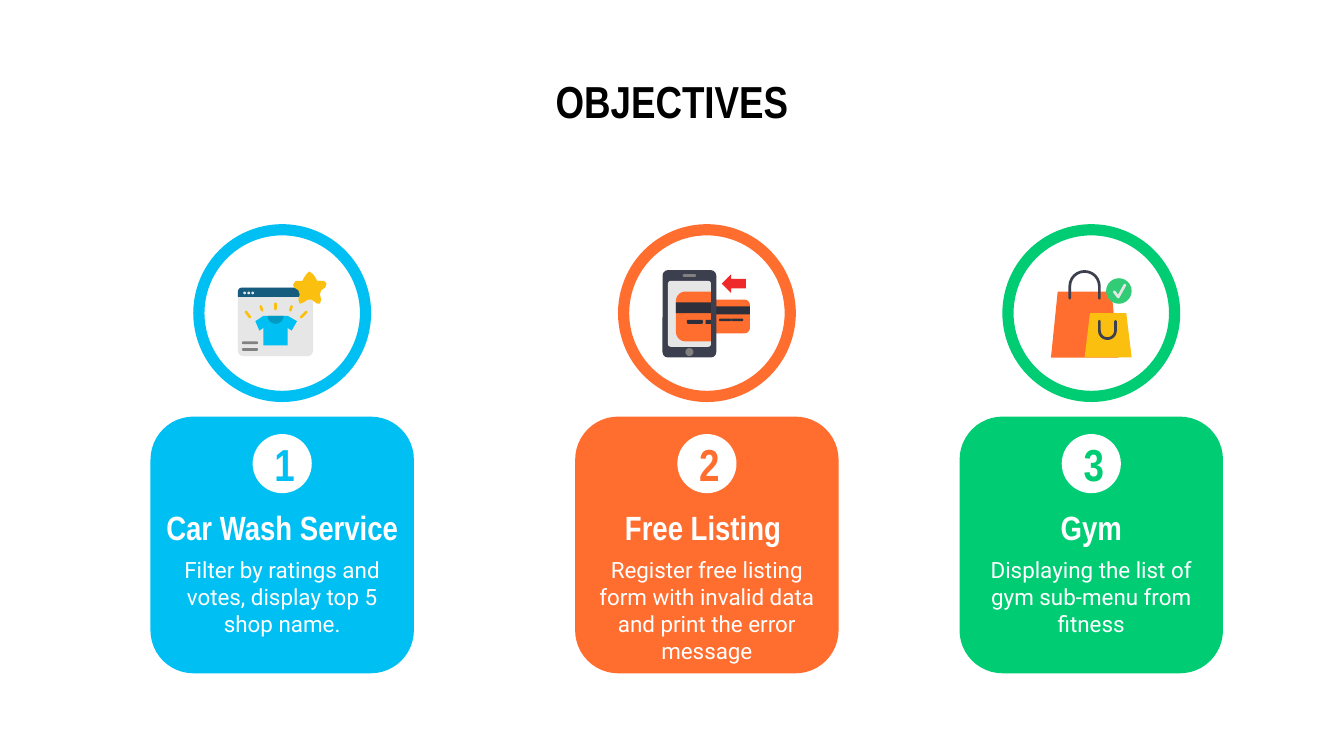
import math
from dataclasses import dataclass

from lxml import etree
from pptx import Presentation
from pptx.dml.color import RGBColor
from pptx.enum.shapes import MSO_SHAPE
from pptx.enum.text import MSO_ANCHOR, PP_ALIGN
from pptx.oxml.ns import qn
from pptx.util import Emu, Pt

ROUND = MSO_SHAPE.ROUNDED_RECTANGLE
TAB = MSO_SHAPE.ROUND_2_SAME_RECTANGLE
RECT = MSO_SHAPE.RECTANGLE
OVAL = MSO_SHAPE.OVAL
LEFT_ARROW = MSO_SHAPE.LEFT_ARROW
TOP = MSO_ANCHOR.TOP
MIDDLE = MSO_ANCHOR.MIDDLE
CENTER = PP_ALIGN.CENTER

PX_PER_INCH = 100
EMU_PER_PX = 914400 // PX_PER_INCH
HEADING_FONT, BODY_FONT = "Arial Narrow", "Roboto"
WHITE, BLACK = "FFFFFF", "000000"
BLUE, ORANGE, GREEN, YELLOW = "00C0F3", "FF6D2F", "00CC74", "FBBF10"
DARK, INK, GRAY, PALE = "3C3F4D", "2D303B", "818181", "E6E6E6"

Point = tuple[float, float]


@dataclass
class Card:
    left: int
    color: str
    number: str
    heading: str
    body: str


@dataclass
class Block:
    preset: int
    box: tuple[int, int, int, int]
    color: str
    radius: int = 0


@dataclass
class Outline:
    points: list[Point]
    color: str


@dataclass
class Stroke:
    points: list[Point]
    color: str
    width: int = 2


def px(value: float) -> Emu:
    return Emu(round(value * EMU_PER_PX))


def rgb(color: str) -> RGBColor:
    return RGBColor.from_string(color)


def arc(x: int, y: int, radius: int, start: int, end: int) -> list[Point]:
    angles = [math.radians(start + (end - start) * i / 12) for i in range(13)]
    return [(x + radius * math.cos(a), y + radius * math.sin(a)) for a in angles]


def handle(x: int, y: int, radius: int, leg_end: int, sweep: int) -> Stroke:
    curve = arc(x, y, radius, 180, 180 + sweep)
    return Stroke([(x - radius, leg_end), *curve, (x + radius, leg_end)], DARK)


def add_block(shapes, block: Block):
    shape = shapes.add_shape(block.preset, *map(px, block.box))
    shape.shadow.inherit = False
    shape.fill.solid()
    shape.fill.fore_color.rgb = rgb(block.color)
    shape.line.fill.background()
    if block.radius:
        shape.adjustments[0] = block.radius / min(block.box[2:])
    return shape


def add_path(shapes, points: list[Point], close: bool):
    start, *rest = [(px(x), px(y)) for x, y in points]
    builder = shapes.build_freeform(*start, scale=1.0)
    builder.add_line_segments(rest, close=close)
    shape = builder.convert_to_shape()
    shape.shadow.inherit = False
    return shape


def add_outline(shapes, outline: Outline) -> None:
    shape = add_path(shapes, outline.points, True)
    shape.fill.solid()
    shape.fill.fore_color.rgb = rgb(outline.color)
    shape.line.fill.background()


def add_stroke(shapes, stroke: Stroke) -> None:
    shape = add_path(shapes, stroke.points, False)
    shape.fill.background()
    shape.line.color.rgb = rgb(stroke.color)
    shape.line.width = px(stroke.width)
    line = shape.element.spPr.find(qn("a:ln"))
    line.set("cap", "rnd")
    etree.SubElement(line, qn("a:round"))


def write(shape, text: str, size: int, color: str, font: str = HEADING_FONT,
          anchor=MIDDLE) -> None:
    frame = shape.text_frame
    frame.word_wrap = True
    frame.vertical_anchor = anchor
    frame.margin_left = frame.margin_right = px(10)
    frame.margin_top = frame.margin_bottom = px(10)
    paragraph = frame.paragraphs[0]
    paragraph.alignment = CENTER
    run = paragraph.add_run()
    run.text = text
    run.font.name = font
    run.font.size = Pt(size)
    run.font.bold = font == HEADING_FONT
    run.font.color.rgb = rgb(color)


def add_text(shapes, box: tuple[int, int, int, int], *args, **kwargs) -> None:
    write(shapes.add_textbox(*map(px, box)), *args, **kwargs)


def add_card(slide, card: Card) -> None:
    shapes = slide.shapes.add_group_shape().shapes
    add_block(shapes, Block(ROUND, (card.left, 310, 196, 191), card.color, 32))
    add_text(shapes, (card.left, 373, 196, 38), card.heading, 18, WHITE)
    add_text(shapes, (card.left, 404, 196, 79), card.body, 12, WHITE,
             font=BODY_FONT, anchor=TOP)
    badge = add_block(shapes, Block(OVAL, (card.left + 76, 323, 44, 44), WHITE))
    write(badge, card.number, 24, card.color)
    ring = add_block(shapes, Block(OVAL, (card.left + 36, 171, 124, 124), WHITE))
    ring.line.color.rgb = rgb(card.color)
    ring.line.width = Pt(6)


def add_icon(slide, parts: list[Block | Outline | Stroke]) -> None:
    shapes = slide.shapes.add_group_shape().shapes
    draw = {Block: add_block, Outline: add_outline, Stroke: add_stroke}
    for part in parts:
        draw[type(part)](shapes, part)


CARDS = [
    Card(112, BLUE, "1", "Car Wash Service",
         "Filter by ratings and votes, display top 5 shop name."),
    Card(428, ORANGE, "2", "Free Listing ",
         "Register free listing form with invalid data and print the error message"),
    Card(714, GREEN, "3", "Gym", "Displaying the list of gym sub-menu from fitness"),
]
SHOPPING_BAGS = [
    Outline([(787, 217), (782, 266), (832, 266), (828, 226), (827, 217)], ORANGE),
    Outline([(811, 233), (807, 266), (842, 266), (838, 233)], YELLOW),
    Block(OVAL, (823, 207, 19, 19), "32CC77"),
    Stroke([(829, 217), (832, 221), (837, 212)], "E5E5E5"),
    handle(807, 213, 11, 222, 180),
    handle(824, 246, 6, 239, -180),
]
RAYS = [((205, 226), (205, 230)), ((217, 228), (216, 231)), ((228, 232), (224, 236)),
        ((194, 228), (195, 231)), ((183, 232), (186, 236))]
STAR = [(228, 204), (230, 202), (233, 204), (235, 207), (236, 209), (241, 209),
        (243, 211), (242, 214), (239, 216), (238, 219), (239, 223), (238, 226),
        (236, 226), (232, 223), (229, 223), (226, 225), (223, 226), (222, 223),
        (223, 219), (222, 216), (219, 214), (218, 212), (220, 209), (225, 209),
        (226, 207)]
SHIRT = [(196, 235), (190, 239), (193, 246), (196, 244), (196, 257), (214, 257),
         (214, 244), (217, 246), (221, 239), (214, 235)]
SHOP_WINDOW = [
    Block(ROUND, (177, 214, 56, 51), PALE, 4),
    Block(TAB, (177, 214, 56, 7), "165C7F", 3),
    *[Block(OVAL, (x, 217, 2, 2), "E5E5E5") for x in (181, 184, 187)],
    *[Block(ROUND, (180, y, 12, 2), GRAY, 1) for y in (254, 259)],
    Outline(SHIRT, BLUE),
    Outline(arc(205, 235, 6, 0, 180), "0099C2"),
    *[Stroke(list(ray), YELLOW) for ray in RAYS],
    Outline(STAR, YELLOW),
]
PHONE = [
    Outline([(531, 248), (533, 223), *arc(554, 227, 4, -90, 0),
             *arc(554, 244, 4, 0, 90)], ORANGE),
    Block(RECT, (531, 228, 27, 6), INK),
    Block(ROUND, (493, 201, 40, 65), DARK, 4),
    Block(ROUND, (508, 204, 10, 2), GRAY, 1),
    Block(OVAL, (510, 259, 6, 6), GRAY),
    Block(ROUND, (497, 209, 32, 49), PALE, 2),
    Outline([(529, 217), *arc(510, 224, 7, 270, 180),
             *arc(510, 247, 7, 180, 90), (529, 254)], ORANGE),
    Block(RECT, (503, 225, 26, 8), INK),
    *[Block(ROUND, (x, 237, 9, 2), INK, 1) for x in (535, 544)],
    Block(RECT, (525, 238, 4, 3), INK),
    Block(ROUND, (511, 238, 12, 3), INK, 1),
    Block(LEFT_ARROW, (537, 204, 18, 14), "EF2929"),
]


def main() -> None:
    presentation = Presentation()
    presentation.slide_width = px(1000)
    presentation.slide_height = px(1000 * 9 / 16)
    slide = presentation.slides.add_slide(presentation.slide_layouts[6])
    add_text(slide.shapes, (50, 45, 900, 63), "OBJECTIVES", 24, BLACK, anchor=TOP)
    for card in CARDS:
        add_card(slide, card)
    for icon in (SHOPPING_BAGS, SHOP_WINDOW, PHONE):
        add_icon(slide, icon)
    presentation.save("out.pptx")


if __name__ == "__main__":
    main()
